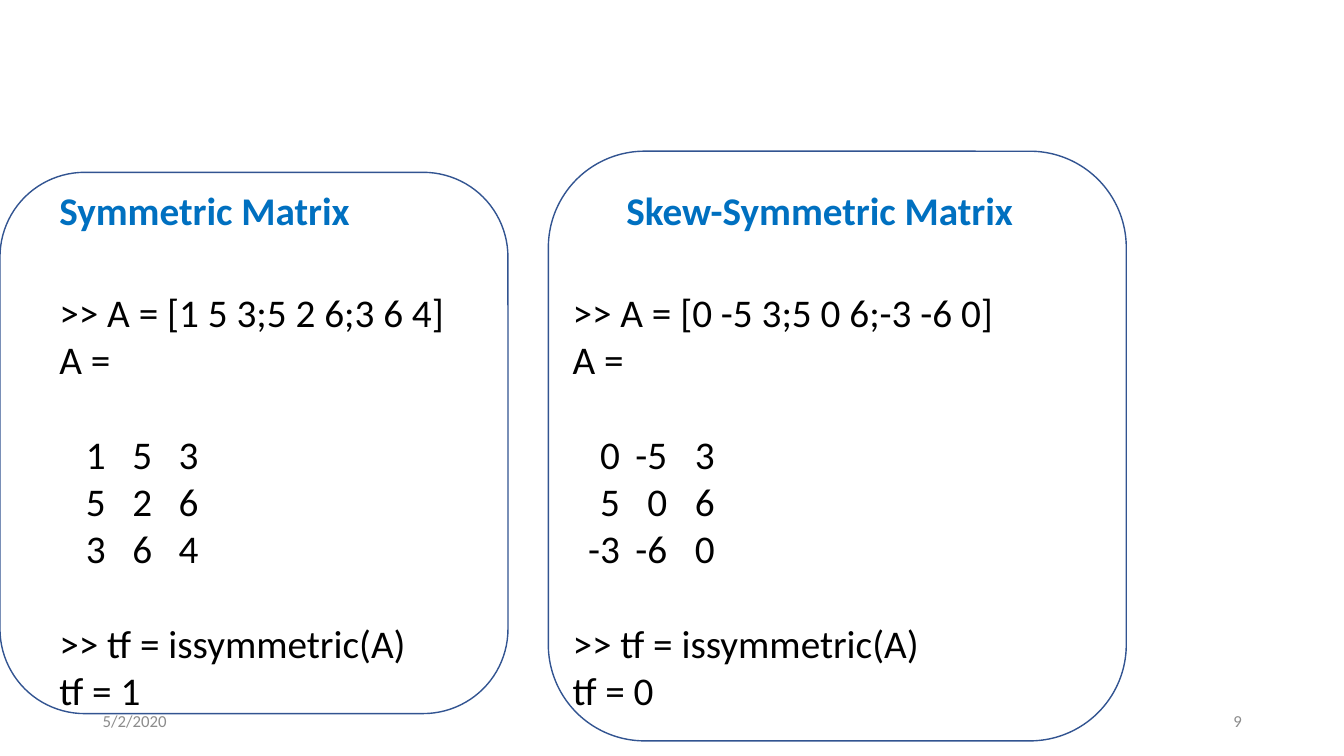
from collections import namedtuple

from lxml.etree import SubElement
from pptx import Presentation
from pptx.dml.color import RGBColor
from pptx.enum.shapes import MSO_SHAPE
from pptx.enum.text import MSO_ANCHOR, PP_ALIGN
from pptx.oxml.ns import qn
from pptx.util import Inches, Pt

COLORS = {"heading": "0070C0", "code": "000000", "outline": "325491", "footer": "8C8C8C"}
FONT = "Calibri"
CODE_SIZE = 28
BLANK_LINE = Pt(34.2)
WIDTH, HEIGHT = 13.33, 7.5

Box = namedtuple("Box", "left top width height")


def to_lengths(box):
    return (Inches(box.left * WIDTH / 100), Inches(box.top * HEIGHT / 100),
            Inches(box.width * WIDTH / 100), Inches(box.height * HEIGHT / 100))


def style(para, size, color, bold=False):
    para.font.name = FONT
    para.font.size = Pt(size)
    para.font.bold = bold
    para.font.color.rgb = RGBColor.from_string(COLORS[color])


def add_text(page, box, lines, size, color, bold=False):
    frame = page.shapes.add_textbox(*to_lengths(box)).text_frame
    frame.word_wrap = True
    frame.text = "\n".join(lines)
    for para in frame.paragraphs:
        style(para, size, color, bold)
    return frame


def add_right_tabs(para, step, count):
    properties = para._p.get_or_add_pPr()
    tabs = SubElement(properties, qn("a:tabLst"))
    for column in range(1, count + 1):
        SubElement(tabs, qn("a:tab"), pos=str(Inches(step * column)), algn="r")
    default_font = properties.find(qn("a:defRPr"))
    if default_font is not None:
        default_font.addprevious(tabs)


def add_code(page, box, command, matrix, answer, tab_step):
    rows = ["".join(f"\t{value}" for value in row) for row in matrix]
    lines = [command, "A =", *rows, ">> tf = issymmetric(A)", answer]
    frame = add_text(page, box, lines, CODE_SIZE, "code")
    first_row, after_matrix = 2, 2 + len(rows)
    for para in frame.paragraphs[first_row:after_matrix]:
        add_right_tabs(para, tab_step, len(matrix[0]))
    for index in (first_row, after_matrix):
        frame.paragraphs[index].space_before = BLANK_LINE


def add_panel(page, box, heading, heading_offset, code_offset, command, matrix, answer, tab_step):
    heading_left, heading_top = box.left + heading_offset[0], box.top + heading_offset[1]
    code_box = Box(box.left + code_offset, heading_top + 13.47, 50, 57.87)
    add_code(page, code_box, command, matrix, answer, tab_step)
    add_text(page, Box(heading_left, heading_top, 32, 7.6), [heading], CODE_SIZE, "heading", True)
    outline = page.shapes.add_shape(MSO_SHAPE.ROUNDED_RECTANGLE, *to_lengths(box))
    outline.shadow.inherit = False
    outline.fill.background()
    outline.line.color.rgb = RGBColor.from_string(COLORS["outline"])
    outline.line.width = Pt(1)


def add_footer(page, box, date, number):
    part_width = 22.5
    parts = ((box.left, date, PP_ALIGN.LEFT),
             (box.left + box.width - part_width, number, PP_ALIGN.RIGHT))
    for left, text, alignment in parts:
        frame = add_text(page, Box(left, box.top, part_width, box.height), [text], 12, "footer")
        frame.vertical_anchor = MSO_ANCHOR.MIDDLE
        frame.paragraphs[0].alignment = alignment


deck = Presentation()
deck.slide_width, deck.slide_height = Inches(WIDTH), Inches(HEIGHT)
page = deck.slides.add_slide(deck.slide_layouts[6])

add_footer(page, Box(6.9, 92.67, 86.25, 5.33), "5/2/2020", "9")
add_panel(page, Box(0, 22.8, 37.8, 71.6), "Symmetric Matrix", (3.68, 1.2), 3.68,
          ">> A = [1 5 3;5 2 6;3 6 4]",
          [(1, 5, 3), (5, 2, 6), (3, 6, 4)], "tf = 1", 0.46)
add_panel(page, Box(40.8, 20, 43, 78), "Skew-Symmetric Matrix", (5.06, 4), 1.06,
          ">> A = [0 -5 3;5 0 6;-3 -6 0]",
          [(0, -5, 3), (5, 0, 6), (-3, -6, 0)], "tf = 0", 0.47)

deck.save("out.pptx")
